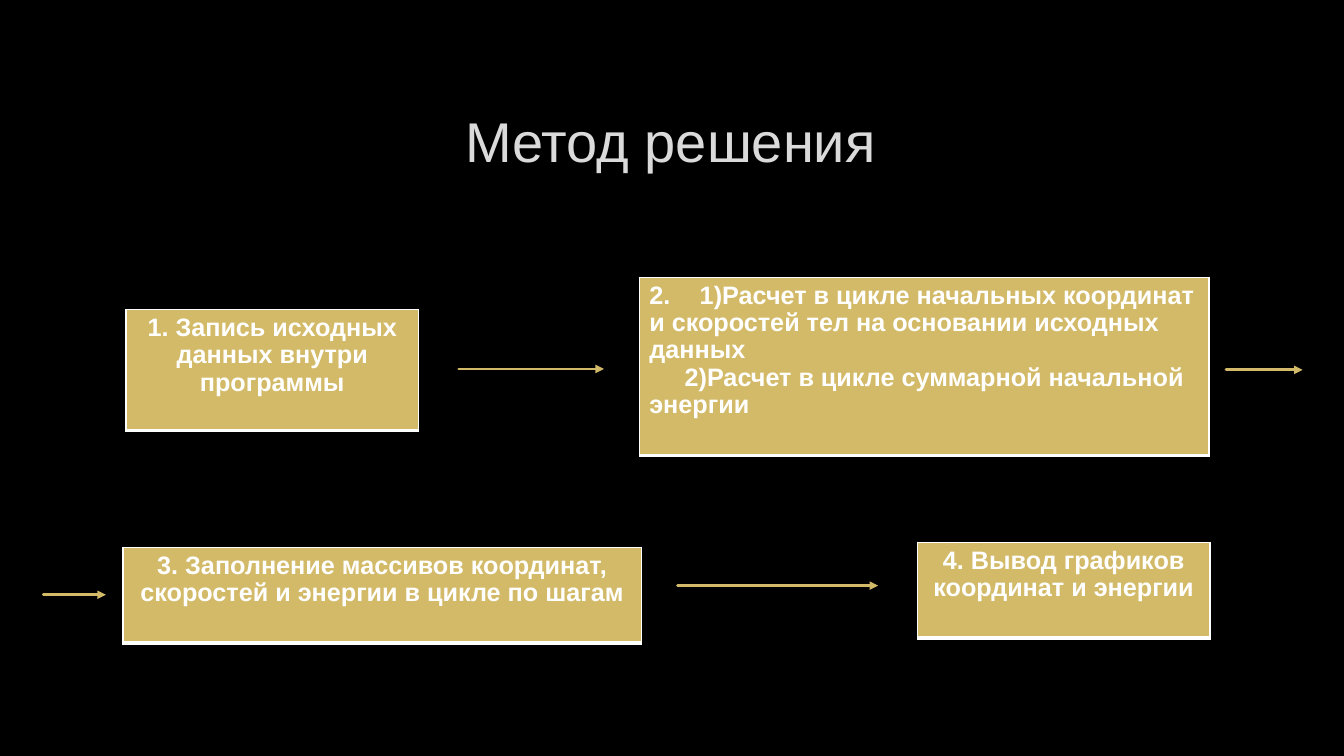
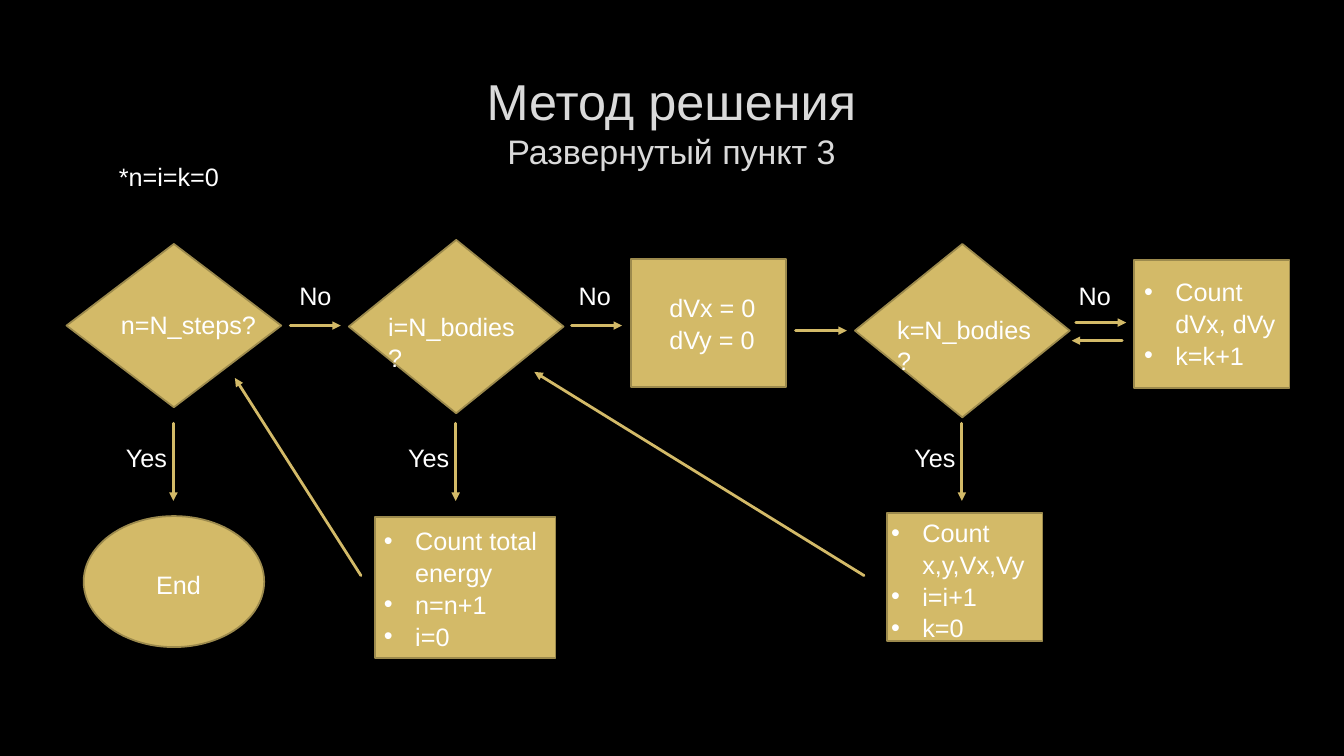
from dataclasses import dataclass

from pptx import Presentation
from pptx.dml.color import RGBColor
from pptx.enum.shapes import MSO_CONNECTOR, MSO_SHAPE
from pptx.enum.text import MSO_ANCHOR, PP_ALIGN
from pptx.oxml.ns import qn
from pptx.util import Pt
from lxml import etree

PX = 9144
STRAIGHT = MSO_CONNECTOR.STRAIGHT
DIAMOND, RECTANGLE, OVAL = MSO_SHAPE.DIAMOND, MSO_SHAPE.RECTANGLE, MSO_SHAPE.OVAL
LEFT, CENTER = PP_ALIGN.LEFT, PP_ALIGN.CENTER
MIDDLE = MSO_ANCHOR.MIDDLE
TITLE_ONLY = 5


@dataclass(frozen=True)
class Theme:
    """Colours, type sizes and line widths shared by the slides."""
    background: str = "000000"
    title: str = "DADADA"
    text: str = "FFFFFF"
    gold: str = "D3BA68"
    outline: str = "9C8A4D"
    font: str = "Arial"
    title_size: float = 40
    short_title_size: float = 36
    subtitle_size: float = 24.3
    body_size: float = 18
    arrow_width: float = 2
    outline_width: float = 1.25
    text_spacing: float = 1.05
    cell_spacing: float = 0.97
    bullet_indent: int = 31
    step_indent: int = 35


THEME = Theme()


@dataclass(frozen=True)
class Decision:
    """One question of the flowchart with the places of its answers."""
    question: str
    left: int
    top: int
    height: int
    question_box: tuple
    no_label: int
    no_arrow: tuple


DECISIONS = [
    Decision("n=N_steps?", 66, 242, 162, (110, 300, 248, 40), 287, (288, 323)),
    Decision("i=N_bodies?", 346, 238, 172, (375, 302, 155, 40), 564, (567, 323)),
    Decision("k=N_bodies?", 848, 242, 172, (880, 305, 161, 40), 1060, (1067, 320)),
]
DIAMOND_WIDTH = 213
ANSWER_TOP, ANSWER_BOTTOM = 420, 497

STAGES = [
    ((125, 307, 290, 120), CENTER, ["1. Запись исходных данных внутри программы"]),
    ((634, 275, 565, 177), LEFT, [
        "2.\t1)Расчет в цикле начальных координат и скоростей тел на основании исходных данных",
        "\t2)Расчет в цикле суммарной начальной энергии"]),
    ((122, 543, 514, 95), CENTER,
     ["3. Заполнение массивов координат, скоростей и энергии в цикле по шагам"]),
    ((910, 538, 290, 95), CENTER, ["4. Вывод графиков координат и энергии"]),
]
STAGE_ARROWS = [(455, 366, 599, 366), (672, 581, 871, 581),
                (1216, 367, 1292, 367), (43, 590, 105, 590)]

STEPS = [
    (RECTANGLE, (626, 257, 154, 127), (654, 284, 115, 71), False, ["dVx = 0", "dVy = 0"]),
    (RECTANGLE, (1125, 258, 154, 127), (1125, 268, 154, 101), True,
     ["Count dVx, dVy", "k=k+1"]),
    (OVAL, (83, 512, 179, 130), (145, 558, 197, 40), False, ["End"]),
    (RECTANGLE, (372, 513, 179, 140), (371, 515, 191, 131), True,
     ["Count total energy", "n=n+1", "i=0"]),
    (RECTANGLE, (880, 509, 154, 127), (874, 507, 179, 131), True,
     ["Count x,y,Vx,Vy", "i=i+1", "k=0"]),
]
STEP_ARROWS = [(789, 328, 840, 328), (1113, 338, 1063, 338),
               (857, 571, 530, 369), (358, 571, 233, 375)]


def emu(values):
    """Turn px lengths into EMU."""
    return [value * PX for value in values]


def apply_format(target, **values):
    """Set each named attribute on the target."""
    for name, value in values.items():
        setattr(target, name, value)


def write_run(paragraph, text, size=THEME.body_size, color=THEME.text, bold=False):
    """Add a formatted run to a paragraph."""
    run = paragraph.add_run()
    run.text = text
    apply_format(run.font, name=THEME.font, size=Pt(size), bold=bold)
    run.font.color.rgb = RGBColor.from_string(color)


def write_paragraphs(frame, lines, spacing, alignment=LEFT, bulleted=False, bold=False):
    """Fill a text frame with one paragraph for each line."""
    for index, line in enumerate(lines):
        paragraph = frame.add_paragraph() if index else frame.paragraphs[0]
        properties = paragraph._p.get_or_add_pPr()
        if bulleted:
            add_bullet(properties)
        if "\t" in line:
            add_tab_stop(properties, line.startswith("\t"))
        apply_format(paragraph, alignment=alignment, line_spacing=spacing)
        write_run(paragraph, line.lstrip("\t"), bold=bold)


def add_bullet(properties):
    """Give a paragraph a round bullet with a hanging indent."""
    indent = THEME.bullet_indent * PX
    properties.set("marL", str(indent))
    properties.set("indent", str(-indent))
    etree.SubElement(properties, qn("a:buFont"), typeface=THEME.font)
    etree.SubElement(properties, qn("a:buChar"), char="•")


def add_tab_stop(properties, indented):
    """Align a numbered step by first-line indent or by a tab stop."""
    position = str(THEME.step_indent * PX)
    properties.set("marL", "0")
    properties.set("indent", position if indented else "0")
    if not indented:
        tabs = etree.SubElement(properties, qn("a:tabLst"))
        etree.SubElement(tabs, qn("a:tab"), pos=position, algn="l")


def add_title_slide(presentation, box, parts):
    """Add a slide whose title holds one line for each text and size."""
    slide = presentation.slides.add_slide(presentation.slide_layouts[TITLE_ONLY])
    title = slide.shapes.title
    apply_format(title, **dict(zip(("left", "top", "width", "height"), emu(box))))
    apply_format(title.text_frame, word_wrap=True, vertical_anchor=MIDDLE)
    paragraph = title.text_frame.paragraphs[0]
    paragraph.alignment = CENTER
    for index, (text, size) in enumerate(parts):
        if index:
            paragraph.add_line_break()
        write_run(paragraph, text, size, THEME.title)
    return slide


def add_label(slide, box, lines, bulleted=False):
    """Add a wrapping text box."""
    frame = slide.shapes.add_textbox(*emu(box)).text_frame
    frame.word_wrap = True
    write_paragraphs(frame, lines, THEME.text_spacing, bulleted=bulleted)


def add_node(slide, kind, box):
    """Add a gold flowchart shape."""
    shape = slide.shapes.add_shape(kind, *emu(box))
    shape.shadow.inherit = False
    shape.fill.solid()
    shape.fill.fore_color.rgb = RGBColor.from_string(THEME.gold)
    shape.line.color.rgb = RGBColor.from_string(THEME.outline)
    shape.line.width = Pt(THEME.outline_width)


def add_arrow(slide, ends):
    """Add a straight gold arrow."""
    connector = slide.shapes.add_connector(STRAIGHT, *emu(ends))
    connector.line.color.rgb = RGBColor.from_string(THEME.gold)
    connector.line.width = Pt(THEME.arrow_width)
    properties = connector._element.spPr
    line = properties.find(qn("a:ln"))
    line.set("cap", "rnd")
    etree.SubElement(line, qn("a:tailEnd"), type="triangle")
    etree.SubElement(properties, qn("a:effectLst"))


def add_stage(slide, box, alignment, lines):
    """Add a one-cell table with a heavy lower border."""
    table = slide.shapes.add_table(1, 1, *emu(box)).table
    cell = table.cell(0, 0)
    properties = cell._tc.get_or_add_tcPr()
    for side, width in {"L": 1, "R": 1, "T": 1, "B": 3}.items():
        border = etree.SubElement(properties, qn(f"a:ln{side}"), w=str(Pt(width)))
        fill = etree.SubElement(border, qn("a:solidFill"))
        etree.SubElement(fill, qn("a:srgbClr"), val=THEME.text)
    cell.fill.solid()
    cell.fill.fore_color.rgb = RGBColor.from_string(THEME.gold)
    write_paragraphs(cell.text_frame, lines, THEME.cell_spacing, alignment, bold=True)


def add_decision(slide, decision):
    """Add a diamond with its question and its two answers."""
    left = decision.left
    add_node(slide, DIAMOND, (left, decision.top, DIAMOND_WIDTH, decision.height))
    add_label(slide, decision.question_box, [decision.question])
    add_label(slide, (decision.no_label, 272, 58, 40), ["No"])
    add_label(slide, (left + 49, 432, 68, 40), ["Yes"])
    arrow_left, arrow_top = decision.no_arrow
    add_arrow(slide, (arrow_left, arrow_top, arrow_left + 50, arrow_top))
    center = left + DIAMOND_WIDTH // 2
    add_arrow(slide, (center, ANSWER_TOP, center, ANSWER_BOTTOM))


def build_overview(presentation):
    """Build the slide with the four stages."""
    slide = add_title_slide(presentation, (99, 86, 1132, 106),
                            [("Метод решения", THEME.title_size)])
    for stage in STAGES:
        add_stage(slide, *stage)
    for ends in STAGE_ARROWS:
        add_arrow(slide, ends)


def build_flowchart(presentation):
    """Build the slide with the flowchart of stage three."""
    slide = add_title_slide(presentation, (100, 67, 1132, 106),
                            [("Метод решения", THEME.short_title_size),
                             ("Развернутый пункт 3", THEME.subtitle_size)])
    for decision in DECISIONS:
        add_decision(slide, decision)
    for kind, box, text_box, bulleted, lines in STEPS:
        add_node(slide, kind, box)
        add_label(slide, text_box, lines, bulleted)
    for ends in STEP_ARROWS:
        add_arrow(slide, ends)
    add_label(slide, (108, 154, 129, 40), ["*n=i=k=0"])


def main():
    """Build and save the presentation."""
    presentation = Presentation()
    apply_format(presentation, slide_width=1333 * PX, slide_height=750 * PX)
    background = presentation.slide_master.background.fill
    background.solid()
    background.fore_color.rgb = RGBColor.from_string(THEME.background)
    build_overview(presentation)
    build_flowchart(presentation)
    presentation.save("out.pptx")


if __name__ == "__main__":
    main()
